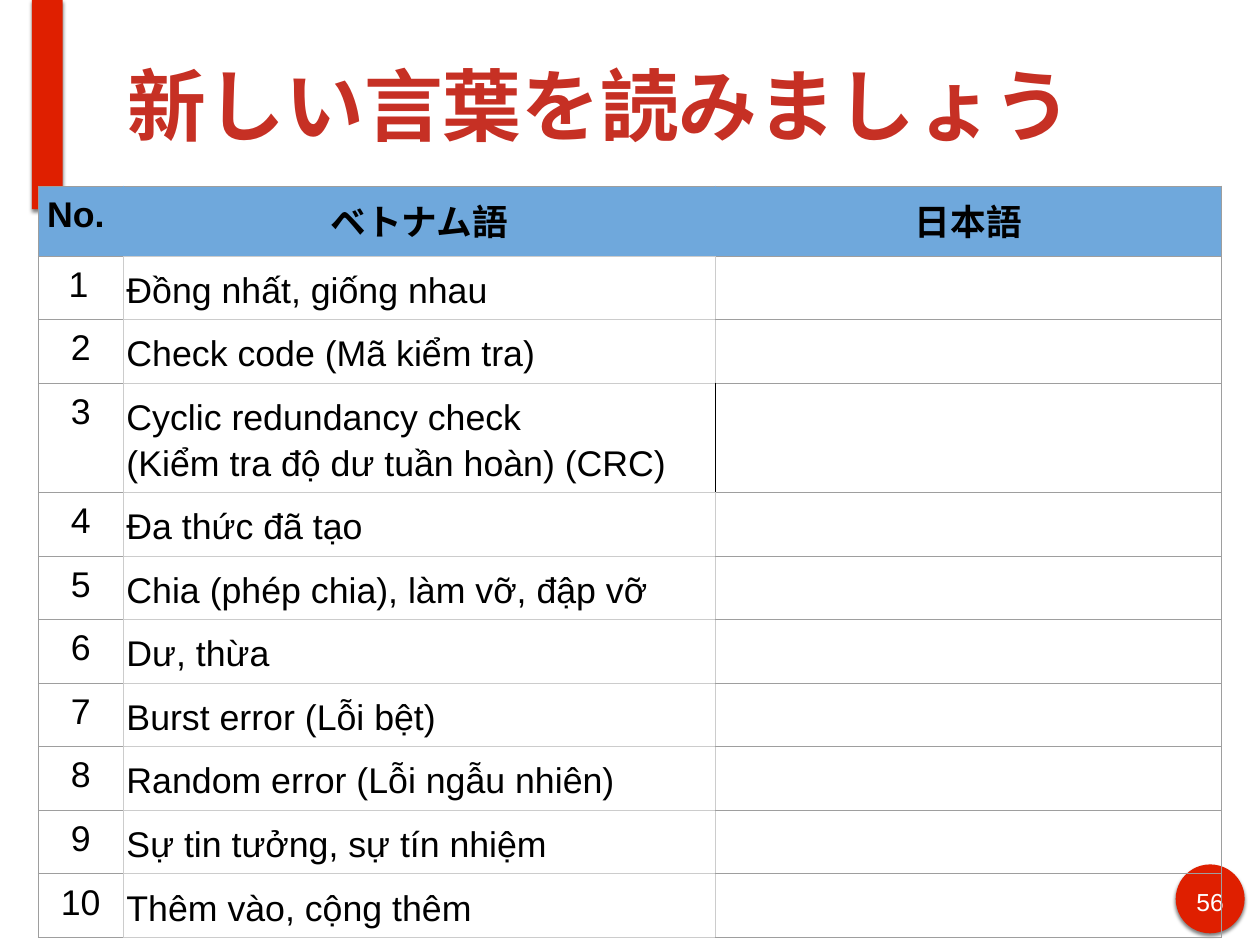
from dataclasses import dataclass

from lxml import etree
from pptx import Presentation
from pptx.dml.color import RGBColor
from pptx.enum.shapes import MSO_SHAPE
from pptx.enum.text import MSO_ANCHOR, MSO_AUTO_SIZE, PP_ALIGN
from pptx.oxml.ns import qn
from pptx.util import Pt

LEFT, CENTER = PP_ALIGN.LEFT, PP_ALIGN.CENTER
TOP, MIDDLE = MSO_ANCHOR.TOP, MSO_ANCHOR.MIDDLE
NO_FIT = MSO_AUTO_SIZE.NONE
OVAL, RECTANGLE = MSO_SHAPE.OVAL, MSO_SHAPE.RECTANGLE


@dataclass(frozen=True)
class Theme:
    font: str = "Arial"
    accent: str = "DF1F00"
    title: str = "C63024"
    header: str = "6FA8DC"
    ink: str = "000000"
    paper: str = "FFFFFF"
    grid: str = "9E9E9E"
    soft_grid: str = "CCCCCC"
    title_size: int = 64
    table_size: int = 29
    number_size: int = 20


THEME = Theme()
HEADINGS = ["No. ", "ベトナム語", "日本語"]
WORDS = [
    ["Đồng nhất, giống nhau"],
    ["Check code (Mã kiểm tra)"],
    ["Cyclic redundancy check", "(Kiểm tra độ dư tuần hoàn) (CRC)"],
    ["Đa thức đã tạo"],
    ["Chia (phép chia), làm vỡ, đập vỡ"],
    ["Dư, thừa"],
    ["Burst error (Lỗi bệt)"],
    ["Random error (Lỗi ngẫu nhiên)"],
    ["Sự tin tưởng, sự tín nhiệm"],
    ["Thêm vào, cộng thêm"],
]


def points(*lengths):
    return [Pt(length) for length in lengths]


def add_run(paragraph, text, size, color, bold=False):
    run = paragraph.add_run()
    run.text = text
    font = run.font
    font.name, font.size, font.bold = THEME.font, Pt(size), bold
    font.color.rgb = RGBColor.from_string(color)
    east_asian = etree.Element(qn("a:ea"), typeface=THEME.font)
    font._element.find(qn("a:latin")).addnext(east_asian)


def set_margins(holder, sides, ends):
    holder.margin_left = holder.margin_right = Pt(sides)
    holder.margin_top = holder.margin_bottom = Pt(ends)


def add_accent(slide, kind, box):
    accent = slide.shapes.add_shape(kind, *points(*box))
    accent.fill.solid()
    accent.fill.fore_color.rgb = RGBColor.from_string(THEME.accent)
    accent.line.fill.background()
    accent.shadow.inherit = False
    effects = accent._element.spPr.find(qn("a:effectLst"))
    shadow = etree.SubElement(effects, qn("a:outerShdw"), blurRad=str(Pt(3)),
                              dist=str(Pt(2)), dir="5400000", rotWithShape="0")
    tint = etree.SubElement(shadow, qn("a:srgbClr"), val=THEME.ink)
    etree.SubElement(tint, qn("a:alpha"), val="49000")


def add_page_number(slide, box, number):
    left, top, side = box
    add_accent(slide, OVAL, (left, top, side, side))
    label = slide.shapes.add_textbox(*points(left + 10.5, top + 14, 35, 28))
    frame = label.text_frame
    frame.word_wrap = True
    set_margins(frame, 4.5, 4.5)
    frame.paragraphs[0].alignment = CENTER
    add_run(frame.paragraphs[0], number, THEME.number_size, THEME.paper)


def add_title(slide, box, text):
    title = slide.shapes.title
    title.left, title.top, title.width, title.height = points(*box)
    frame = title.text_frame
    frame.word_wrap, frame.auto_size = True, NO_FIT
    frame.vertical_anchor = MIDDLE
    set_margins(frame, 4.5, 4.5)
    frame.paragraphs[0].alignment = LEFT
    add_run(frame.paragraphs[0], text, THEME.title_size, THEME.title, True)


def set_borders(cell, left=THEME.grid, right=THEME.grid,
                top=THEME.grid, bottom=THEME.grid):
    properties = cell._tc.get_or_add_tcPr()
    edges = zip(("a:lnL", "a:lnR", "a:lnT", "a:lnB"), (left, right, top, bottom))
    for position, (tag, color) in enumerate(edges):
        edge = etree.Element(qn(tag), w=str(Pt(0.75)))
        fill = etree.SubElement(edge, qn("a:solidFill"))
        etree.SubElement(fill, qn("a:srgbClr"), val=color)
        properties.insert(position, edge)


def fill_cell(cell, lines, align=CENTER, anchor=TOP, sides=6.8, ends=7.2,
              spacing=None, bold=False):
    set_margins(cell, sides, ends)
    cell.vertical_anchor = anchor
    frame = cell.text_frame
    for index, line in enumerate(lines):
        paragraph = frame.add_paragraph() if index else frame.paragraphs[0]
        paragraph.alignment = align
        paragraph.line_spacing = spacing
        add_run(paragraph, line, THEME.table_size, THEME.ink, bold)


def add_vocabulary(slide, box, column_widths, header_height, line_height,
                   extra_line):
    left, top = box
    heights = [header_height] + [line_height + extra_line * (len(word) - 1)
                                 for word in WORDS]
    table = slide.shapes.add_table(
        len(heights), len(column_widths),
        *points(left, top, sum(column_widths), sum(heights))).table
    table.first_row = table.horz_banding = False
    for column, width in zip(table.columns, column_widths):
        column.width = Pt(width)
    for row, height in zip(table.rows, heights):
        row.height = Pt(height)

    # Header row, without visible dividers
    soft, grid, blue = THEME.soft_grid, THEME.grid, THEME.header
    header_edges = [(grid, blue, grid, grid), (blue, blue, grid, soft),
                    (blue, grid, grid, grid)]
    for cell, heading, edges in zip(table.rows[0].cells, HEADINGS, header_edges):
        cell.fill.solid()
        cell.fill.fore_color.rgb = RGBColor.from_string(blue)
        fill_cell(cell, [heading], bold=True)
        set_borders(cell, *edges)
        if heading != HEADINGS[0]:
            cell.margin_top, cell.margin_bottom = points(13.7, 4)

    # One row per word, with an empty answer cell
    for number, word in enumerate(WORDS, 1):
        number_cell, word_cell, answer_cell = table.rows[number].cells
        for cell in (number_cell, word_cell, answer_cell):
            cell.fill.background()
        fill_cell(number_cell, [str(number)], LEFT if number == 1 else CENTER)
        fill_cell(word_cell, word, LEFT, MIDDLE, sides=2.5, ends=4, spacing=1.15)
        divider = THEME.ink if len(word) > 1 else soft
        set_borders(number_cell, right=soft)
        set_borders(word_cell, soft, divider, soft, soft)
        set_borders(answer_cell, left=divider)

    # The first number hangs on a list indent
    first_number = table.cell(1, 0).text_frame.paragraphs[0]
    indent = first_number._p.get_or_add_pPr()
    indent.set("marL", str(Pt(36)))
    indent.set("indent", str(Pt(-18)))


def main():
    deck = Presentation()
    deck.slide_width, deck.slide_height = points(1024, 768)
    slide = deck.slides.add_slide(deck.slide_layouts[5])
    add_page_number(slide, (955.5, 702.5, 56), "56")
    add_accent(slide, RECTANGLE, (26, 0, 25, 170))
    add_title(slide, (99.5, 8.5, 874, 152.5), "新しい言葉を読みましょう")
    add_vocabulary(slide, (31, 151.2), (69.3, 481, 411.2), 57, 51.7, 36.9)
    deck.save("out.pptx")


if __name__ == "__main__":
    main()
